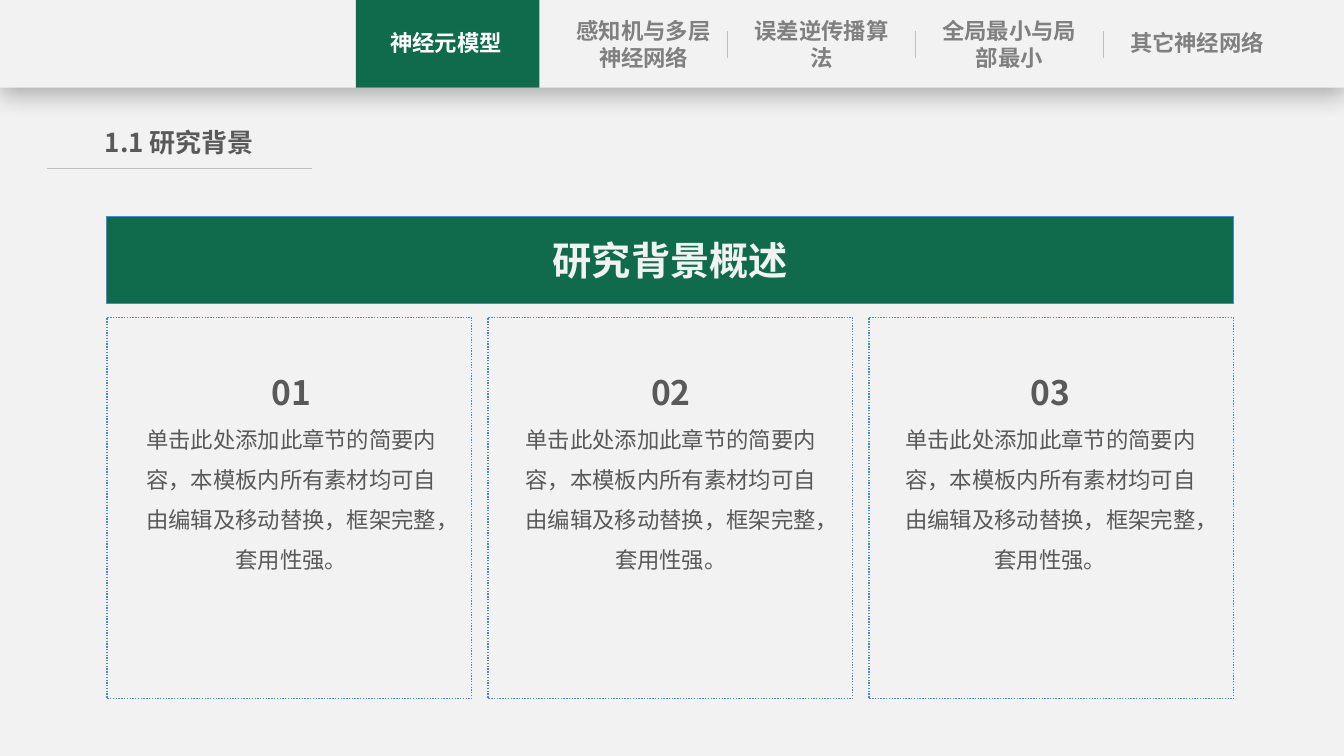
from dataclasses import dataclass

from lxml.etree import SubElement
from pptx import Presentation
from pptx.dml.color import RGBColor
from pptx.enum.dml import MSO_LINE_DASH_STYLE as Dash
from pptx.enum.shapes import MSO_CONNECTOR as Connector, MSO_SHAPE as Shape
from pptx.enum.text import MSO_ANCHOR as Anchor, MSO_AUTO_SIZE as AutoSize, PP_ALIGN as Align
from pptx.oxml.ns import qn
from pptx.shapes.autoshape import Shape as AutoShape
from pptx.slide import Slide
from pptx.text.text import _Paragraph as Paragraph
from pptx.util import Inches, Pt

PAPER = RGBColor(0xF2, 0xF2, 0xF2)
WHITE = RGBColor(0xFF, 0xFF, 0xFF)
GREEN = RGBColor(0x10, 0x6B, 0x4C)
BLUE = RGBColor(0x44, 0x8A, 0xD7)
RULE_GRAY = RGBColor(0xBF, 0xBF, 0xBF)
TAB_GRAY = RGBColor(0x80, 0x80, 0x80)
TEXT_GRAY = RGBColor(0x59, 0x59, 0x59)

FONT = "Noto Sans CJK SC"
WIDTH, HEIGHT = Inches(13.333), Inches(7.5)

# Positions and sizes are percentages of the slide's width and height.
HEADER_HEIGHT = 11.6
TAB_LEFT, TAB_STEP, TAB_WIDTH = 27.67, 13.97, 11.03
SEPARATOR_LEFT = 54.15
BANNER_LEFT, BANNER_WIDTH = 7.95, 83.85
CARD_WIDTH = 27.15
CARD_STEP = (BANNER_WIDTH - CARD_WIDTH) / 2
CARD_TEXT_LEFT, CARD_TEXT_STEP = 10.28, 28.24
CARD_TEXT = "单击此处添加此章节的简要内容，本模板内所有素材均可自由编辑及移动替换，框架完整，套用性强。"


@dataclass(frozen=True)
class Area:
    left: float
    top: float
    width: float
    height: float

    def lengths(self) -> tuple[int, int, int, int]:
        return (across(self.left), down(self.top), across(self.width), down(self.height))


@dataclass(frozen=True)
class Tab:
    title: str
    lines: int
    color: RGBColor = TAB_GRAY
    nudge: float = 0


TABS = [
    Tab("神经元模型", 1, WHITE),
    Tab("感知机与多层神经网络", 2, nudge=0.74),
    Tab("误差逆传播算法", 2),
    Tab("全局最小与局部最小", 2),
    Tab("其它神经网络", 1),
]
CARD_NUMBERS = ["01", "02", "03"]


def across(share: float) -> int:
    return round(WIDTH * share / 100)


def down(share: float) -> int:
    return round(HEIGHT * share / 100)


def add_span(para: Paragraph, text: str, size: float, color: RGBColor, bold: bool = True) -> None:
    para.alignment = Align.CENTER
    span = para.add_run()
    span.text = text
    span.font.name = FONT
    span.font.size = Pt(size)
    span.font.bold = bold
    span.font.color.rgb = color
    SubElement(span.font._element, qn("a:ea"), typeface=FONT)


def add_box(page: Slide, area: Area, inset: float = 0.05) -> AutoShape:
    """Add a wrapping text box without side insets that grows with its text."""
    box = page.shapes.add_textbox(*area.lengths())
    frame = box.text_frame
    frame.word_wrap = True
    frame.auto_size = AutoSize.SHAPE_TO_FIT_TEXT
    frame.margin_left = frame.margin_right = 0
    frame.margin_top = frame.margin_bottom = Inches(inset)
    return box


def add_panel(page: Slide, area: Area, fill: RGBColor | None = None,
              line: RGBColor | None = None) -> AutoShape:
    panel = page.shapes.add_shape(Shape.RECTANGLE, *area.lengths())
    panel.shadow.inherit = False
    if fill is None:
        panel.fill.background()
    else:
        panel.fill.solid()
        panel.fill.fore_color.rgb = fill
    if line is None:
        panel.line.fill.background()
    else:
        panel.line.color.rgb = line
        panel.line.width = Pt(1)
    return panel


def add_rule(page: Slide, left: float, top: float, right: float, bottom: float) -> None:
    rule = page.shapes.add_connector(
        Connector.STRAIGHT, across(left), down(top), across(right), down(bottom))
    rule.line.color.rgb = RULE_GRAY
    rule.line.width = Pt(0.5)
    SubElement(rule._element.spPr, qn("a:effectLst"))


def cast_shadow(panel: AutoShape) -> None:
    """Give the panel a soft black shadow that falls straight down."""
    effects = panel._element.spPr.find(qn("a:effectLst"))
    shadow = SubElement(effects, qn("a:outerShdw"), blurRad=str(Pt(18)), dist=str(Pt(4)),
                        dir="5400000", algn="t", rotWithShape="0")
    color = SubElement(shadow, qn("a:srgbClr"), val="000000")
    SubElement(color, qn("a:alpha"), val="29000")


def draw_header(page: Slide) -> None:
    cast_shadow(add_panel(page, Area(0, 0, 100, HEADER_HEIGHT), PAPER))
    add_panel(page, Area(26.48, 0, 13.65, HEADER_HEIGHT), GREEN)
    for index, tab in enumerate(TABS):
        top, height = (3.2, 5.07) if tab.lines == 1 else (1.6, 8.53)
        left = TAB_LEFT + index * TAB_STEP + tab.nudge
        box = add_box(page, Area(left, top, TAB_WIDTH, height))
        add_span(box.text_frame.paragraphs[0], tab.title, 16, tab.color)
    for index in range(3):
        x = SEPARATOR_LEFT + index * TAB_STEP
        add_rule(page, x, 4.13, x, 7.73)


def draw_section_title(page: Slide) -> None:
    add_rule(page, 3.53, 22.27, 23.18, 22.27)
    box = add_box(page, Area(6.67, 16.13, 13.35, 5.6))
    add_span(box.text_frame.paragraphs[0], "1.1 研究背景", 18.6, TEXT_GRAY)


def draw_banner(page: Slide) -> None:
    banner = add_panel(page, Area(BANNER_LEFT, 28.67, BANNER_WIDTH, 11.47), GREEN, BLUE)
    banner.text_frame.vertical_anchor = Anchor.MIDDLE
    add_span(banner.text_frame.paragraphs[0], "研究背景概述", 28, PAPER)


def draw_card(page: Slide, index: int, number: str) -> None:
    frame_area = Area(BANNER_LEFT + index * CARD_STEP, 42, CARD_WIDTH, 50.4)
    add_panel(page, frame_area, line=BLUE).line.dash_style = Dash.ROUND_DOT
    text_area = Area(CARD_TEXT_LEFT + index * CARD_TEXT_STEP, 46.53, 22.8, 29.6)
    frame = add_box(page, text_area, inset=0).text_frame
    add_span(frame.paragraphs[0], number, 24, TEXT_GRAY)
    add_span(frame.add_paragraph(), CARD_TEXT, 16, TEXT_GRAY, bold=False)
    for para in frame.paragraphs:
        para.line_spacing = 1.5


def main() -> None:
    deck = Presentation()
    deck.slide_width, deck.slide_height = WIDTH, HEIGHT
    page = deck.slides.add_slide(deck.slide_layouts[6])
    page.background.fill.solid()
    page.background.fill.fore_color.rgb = PAPER
    draw_header(page)
    draw_section_title(page)
    draw_banner(page)
    for index, number in enumerate(CARD_NUMBERS):
        draw_card(page, index, number)
    deck.save("out.pptx")


if __name__ == "__main__":
    main()
